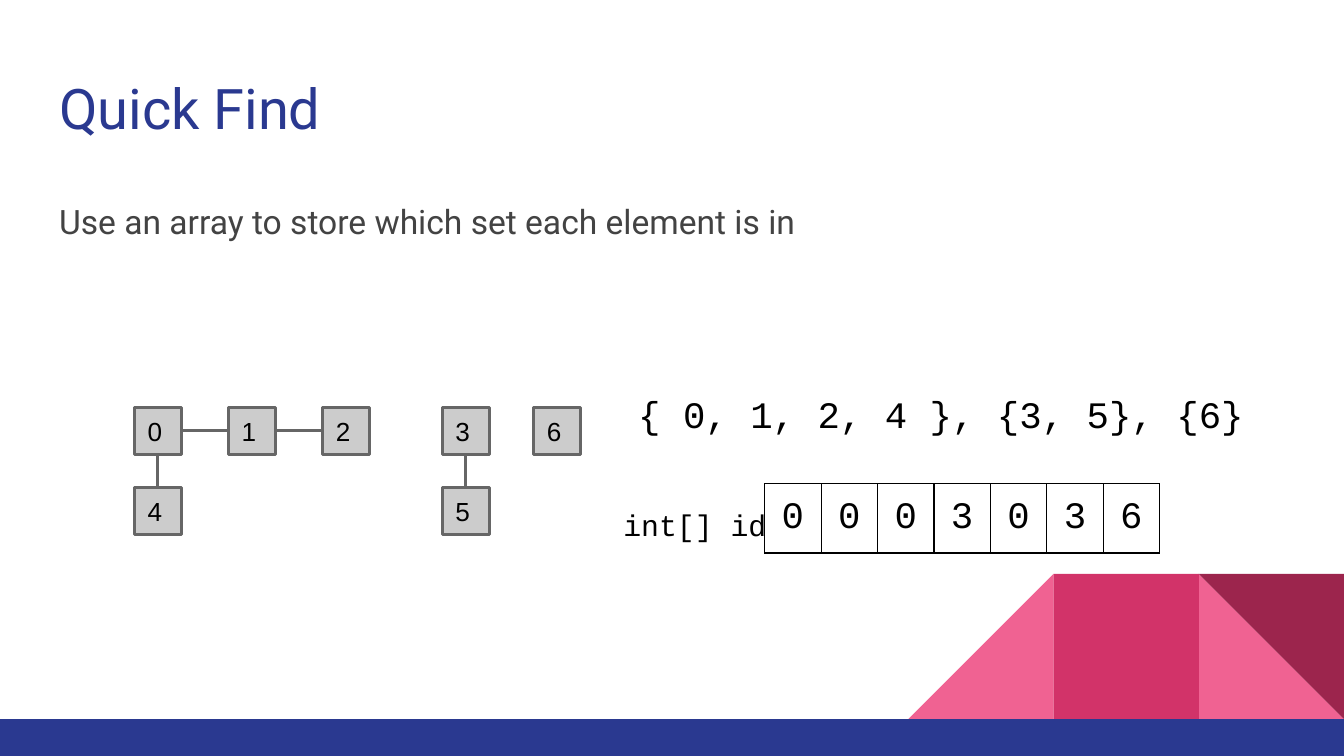
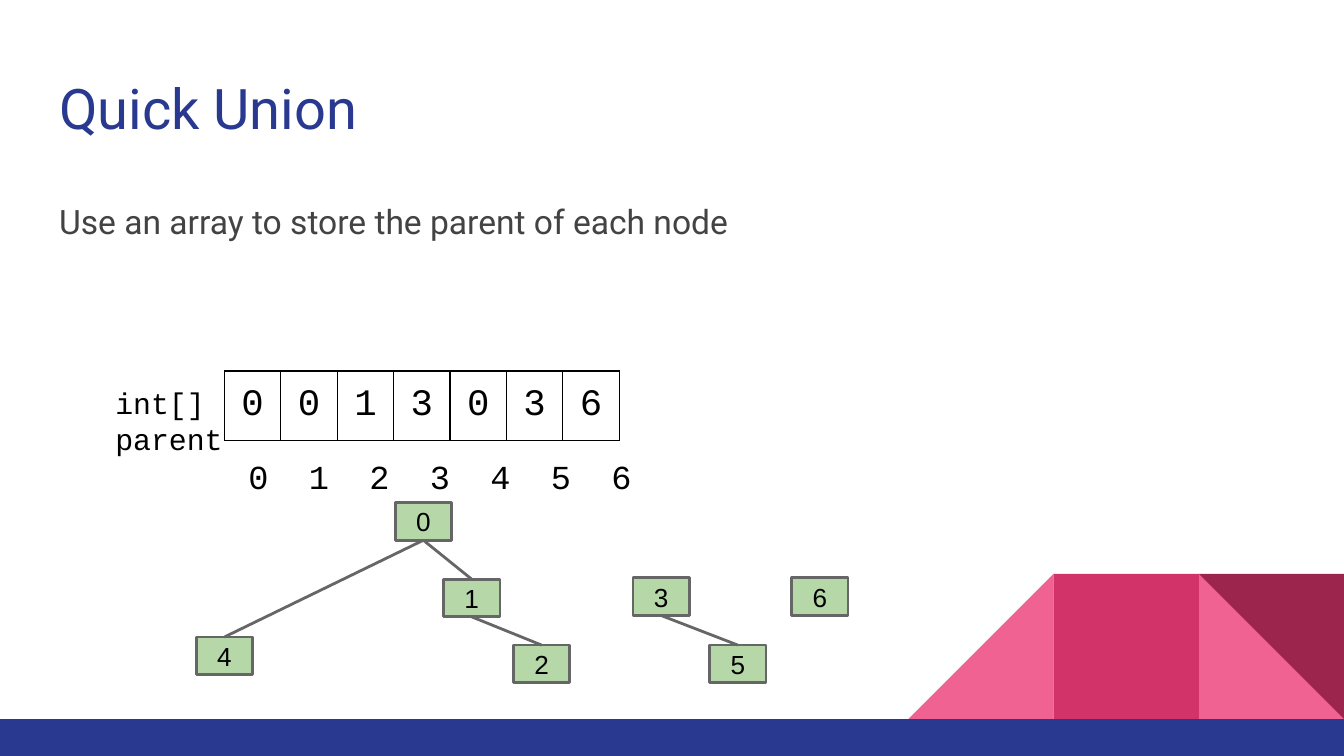
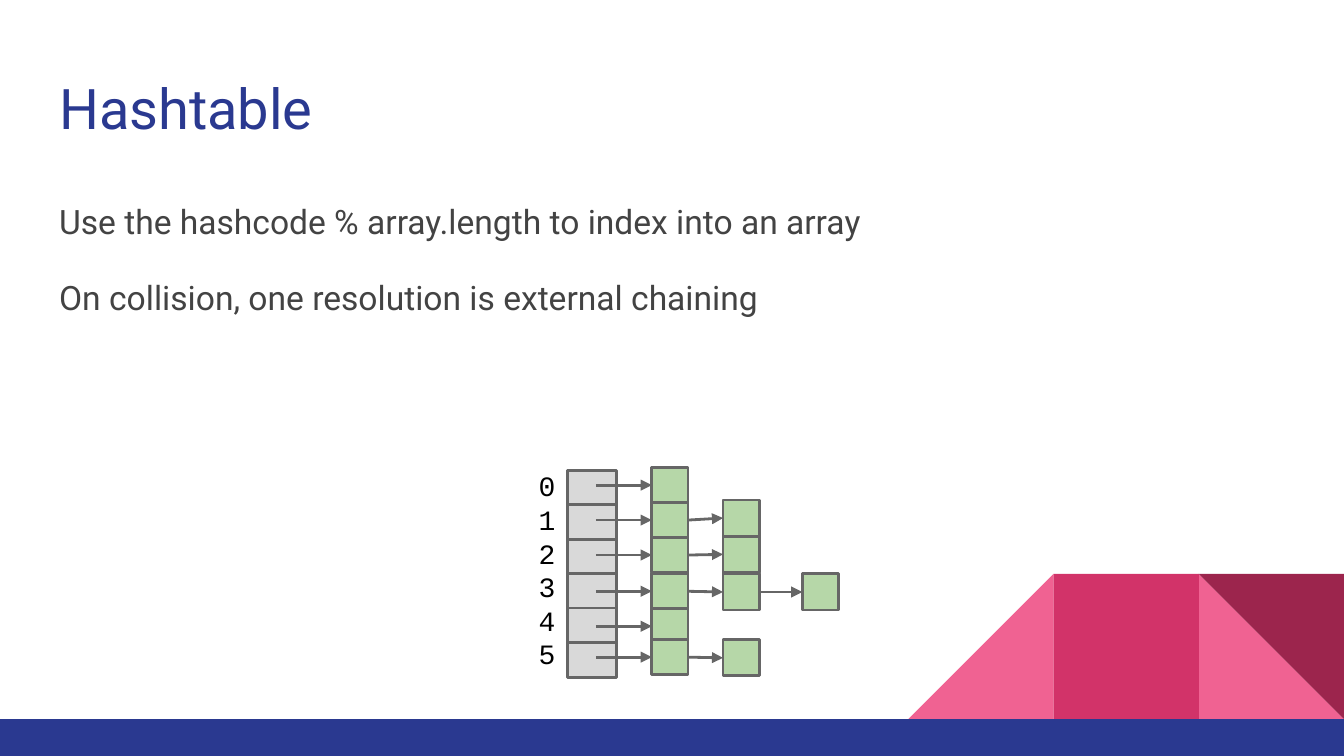
from dataclasses import dataclass
from typing import Optional

import pptx
import pptx.dml.color
import pptx.enum.shapes
import pptx.enum.text
import pptx.oxml
import pptx.oxml.ns
import pptx.util
from lxml import etree

Inches = pptx.util.Inches
Pt = pptx.util.Pt
qn = pptx.oxml.ns.qn
Shape = pptx.enum.shapes.MSO_SHAPE
Align = pptx.enum.text.PP_ALIGN
Anchor = pptx.enum.text.MSO_ANCHOR

# Shared colours, fonts and measures
NAVY, PINK, ROSE, WINE = "2A3990", "F06292", "D23369", "9C254D"
BODY_GREY, LINE_GREY, NODE_GREY, SLOT_GREY = "434343", "666666", "CCCCCC", "D9D9D9"
GREEN, WHITE, BLACK = "B6D7A8", "FFFFFF", "000000"
HEADING_FONT, NODE_FONT, CODE_FONT = "Roboto", "Arial", "Courier New"
LINE_WIDTH = 1.5
TOP, LEFT, BOTTOM, RIGHT = range(4)


@dataclass
class Style:
    font: str
    size: float
    color: str = BLACK


@dataclass
class Node:
    label: str
    left: float
    top: float


@dataclass
class NodeLook:
    width: float
    height: float
    fill: str
    align: Align = Align.LEFT


@dataclass
class Ornament:
    kind: Shape
    left: float
    fill: str
    rotation: float = 0
    flipped: bool = False


TITLE = Style(HEADING_FONT, 30, NAVY)
BODY = Style(HEADING_FONT, 18, BODY_GREY)
NODE = Style(NODE_FONT, 14)
CODE = Style(CODE_FONT, 20)
LABEL = Style(CODE_FONT, 16)

ORNAMENT_SIZE, ORNAMENT_TOP, BAND_TOP = 1.08, 4.27, 5.35
ORNAMENTS = [
    Ornament(Shape.RIGHT_TRIANGLE, 8.92, PINK),
    Ornament(Shape.RIGHT_TRIANGLE, 6.76, PINK, flipped=True),
    Ornament(Shape.RECTANGLE, 7.84, ROSE),
    Ornament(Shape.RIGHT_TRIANGLE, 8.92, WINE, rotation=180),
]


def rgb(color: str):
    return pptx.dml.color.RGBColor.from_string(color)


# Text
def add_span(para, text: str, style: Style) -> None:
    span = para.add_run()
    span.text = text
    span.font.name = style.font
    span.font.size = Pt(style.size)
    span.font.color.rgb = rgb(style.color)


def set_frame(frame, anchor=Anchor.TOP) -> None:
    frame.word_wrap = True
    frame.auto_size = pptx.enum.text.MSO_AUTO_SIZE.NONE
    frame.vertical_anchor = anchor
    frame.margin_left = frame.margin_right = Inches(0.1)
    frame.margin_top = frame.margin_bottom = Inches(0.1)


def fill_frame(frame, lines: list[str], style: Style, align=Align.LEFT) -> None:
    for number, line in enumerate(lines):
        para = frame.add_paragraph() if number else frame.paragraphs[0]
        para.alignment = align
        add_span(para, line, style)


def add_text(page, left: float, top: float, width: float, height: float,
             lines: list[str], style: Style, align=Align.LEFT):
    box = page.shapes.add_textbox(Inches(left), Inches(top), Inches(width), Inches(height))
    set_frame(box.text_frame)
    fill_frame(box.text_frame, lines, style, align)
    return box


# Shapes and connectors
def add_box(shapes, left: float, top: float, width: float, height: float,
            fill: str, kind=Shape.RECTANGLE, outlined: bool = True):
    box = shapes.add_shape(kind, Inches(left), Inches(top), Inches(width), Inches(height))
    box.shadow.inherit = False
    box.fill.solid()
    box.fill.fore_color.rgb = rgb(fill)
    if outlined:
        box.line.color.rgb = rgb(LINE_GREY)
        box.line.width = Pt(LINE_WIDTH)
    else:
        box.line.fill.background()
    return box


def add_node(page, node: Node, look: NodeLook):
    box = add_box(page.shapes, node.left, node.top, look.width, look.height, look.fill)
    set_frame(box.text_frame, Anchor.MIDDLE)
    fill_frame(box.text_frame, [node.label], NODE, look.align)
    return box


def add_link(page, start, start_side: Optional[int], end, end_side: int, arrow: bool = False) -> None:
    """Join two boxes; without a start side the line begins inside the first box."""
    begin_x = start.left + int(start.width * 0.58)
    begin_y = end.top + end.height // 2
    link = page.shapes.add_connector(
        pptx.enum.shapes.MSO_CONNECTOR.STRAIGHT, begin_x, begin_y, end.left, begin_y)
    if start_side is not None:
        link.begin_connect(start, start_side)
    link.end_connect(end, end_side)
    link.line.color.rgb = rgb(LINE_GREY)
    link.line.width = Pt(LINE_WIDTH)
    properties = link.element.spPr
    if arrow:
        etree.SubElement(properties.find(qn("a:ln")), qn("a:tailEnd"), type="triangle")
    etree.SubElement(properties, qn("a:effectLst"))


def add_graph(page, nodes: list[Node], look: NodeLook, links: list[tuple]) -> None:
    boxes = {node.label: add_node(page, node, look) for node in nodes}
    for start, start_side, end, end_side in links:
        add_link(page, boxes[start], start_side, boxes[end], end_side)


# One-row array table
def add_array(page, left: float, top: float, values: str, fill: Optional[str] = None) -> None:
    cell_size = 0.42
    frame = page.shapes.add_table(1, len(values), Inches(left), Inches(top),
                                  Inches(cell_size * len(values)), Inches(cell_size))
    table = frame.table
    table.first_row = table.horz_banding = False
    table.rows[0].height = Inches(cell_size)
    for column, value in enumerate(values):
        table.columns[column].width = Inches(cell_size)
        cell = table.cell(0, column)
        cell.margin_left = cell.margin_right = Inches(0.1)
        cell.margin_top = cell.margin_bottom = Inches(0.1)
        fill_frame(cell.text_frame, [value], CODE, Align.CENTER)
        if fill:
            cell.fill.solid()
            cell.fill.fore_color.rgb = rgb(fill)
        else:
            cell.fill.background()
    for properties in frame.element.iter(qn("a:tcPr")):
        for place, side in enumerate(("lnL", "lnR", "lnT", "lnB")):
            properties.insert(place, pptx.oxml.parse_xml(
                f'<a:{side} {pptx.oxml.ns.nsdecls("a")} w="{Pt(0.75)}"><a:solidFill>'
                f'<a:srgbClr val="{BLACK}"/></a:solidFill></a:{side}>'))


# Layout: placeholder places and the band with its ornaments
def prepare_layout(deck):
    layout = deck.slide_layouts[1]
    for owner in (layout, layout.slide_master):
        for holder in list(owner.placeholders):
            if holder.placeholder_format.idx > 1:
                holder.element.getparent().remove(holder.element)
                continue
            is_title = holder.placeholder_format.idx == 0
            holder.left, holder.width = Inches(0.34), Inches(9.32)
            holder.top = Inches(0.45 if is_title else 1.35)
            holder.height = Inches(0.66 if is_title else 3.65)
    return layout


def add_band(page, deck) -> None:
    group = page.shapes.add_group_shape()
    for ornament in ORNAMENTS:
        box = add_box(group.shapes, ornament.left, ORNAMENT_TOP, ORNAMENT_SIZE, ORNAMENT_SIZE,
                      ornament.fill, ornament.kind, outlined=False)
        box.rotation = ornament.rotation
        if ornament.flipped:
            box.element.spPr.find(qn("a:xfrm")).set("flipH", "1")
    height = deck.slide_height.inches - BAND_TOP
    add_box(group.shapes, 0, BAND_TOP, 10, height, NAVY, outlined=False)
    # The layout carries the group, under its placeholders and with its own ids
    for number, properties in enumerate(group.element.iter(qn("p:cNvPr")), 101):
        properties.set("id", str(number))
    page.slide_layout.shapes.element.insert(2, group.element)


def add_page(deck, layout, title: str, lines: list[str]):
    page = deck.slides.add_slide(layout)
    heading, body = page.shapes.title.text_frame, page.placeholders[1].text_frame
    set_frame(heading)
    fill_frame(heading, [title], TITLE)
    set_frame(body)
    fill_frame(body, lines, BODY)
    for number, para in enumerate(body.paragraphs):
        properties = para._p.get_or_add_pPr()
        properties.set("marL", "0")
        properties.set("indent", "0")
        etree.SubElement(properties, qn("a:buNone"))
        para.line_spacing = 1.15
        para.space_before = Pt(16 if number else 0)
    body.paragraphs[-1].space_after = Pt(16)
    return page


# Slide contents
def fill_quick_find(page) -> None:
    upper, lower = 3.03, 3.63
    nodes = [Node("0", 1, upper), Node("4", 1, lower), Node("1", 1.7, upper),
             Node("2", 2.4, upper), Node("3", 3.29, upper), Node("5", 3.29, lower),
             Node("6", 3.97, upper)]
    links = [("0", BOTTOM, "4", TOP), ("0", RIGHT, "1", LEFT),
             ("1", RIGHT, "2", LEFT), ("3", BOTTOM, "5", TOP)]
    add_graph(page, nodes, NodeLook(0.35, 0.35, NODE_GREY), links)
    add_array(page, 5.69, 3.6, "0003036")
    add_text(page, 4.54, 3.67, 1.42, 0.35, ["int[] id"], LABEL)
    add_text(page, 4.65, 2.81, 4.85, 0.67, ["{ 0, 1, 2, 4 }, {3, 5}, {6}"], CODE)


def fill_quick_union(page) -> None:
    nodes = [Node("2", 3.82, 4.8), Node("1", 3.3, 4.31), Node("4", 1.46, 4.74),
             Node("0", 2.94, 3.74), Node("6", 5.89, 4.3), Node("5", 5.28, 4.8),
             Node("3", 4.71, 4.3)]
    parents = {"4": "0", "1": "0", "2": "1", "5": "3"}
    links = [(child, TOP, parent, BOTTOM) for child, parent in parents.items()]
    add_graph(page, nodes, NodeLook(0.42, 0.28, GREEN, Align.CENTER), links)
    add_array(page, 1.67, 2.76, "0013036", WHITE)
    add_text(page, 0.76, 2.76, 1.42, 0.35, ["int[] parent"], LABEL)

    # Indices under the array, on even tab stops
    indices = add_text(page, 1.75, 3.29, 3.12, 0.3, ["\t".join("0123456")], Style(CODE_FONT, 18))
    properties = indices.text_frame.paragraphs[0]._p.get_or_add_pPr()
    stops = etree.SubElement(properties, qn("a:tabLst"))
    for number in range(1, 7):
        etree.SubElement(stops, qn("a:tab"), pos=str(Inches(0.45 * number)), algn="l")


def fill_hashtable(page) -> None:
    # Tops of the entries chained from each slot
    chains = [(3.48,), (3.74, 3.72), (4, 3.99), (4.27, 4.27, 4.27), (4.53,), (4.76, 4.76)]
    entry_lefts, entry_heights = (4.85, 5.38, 5.97), (0.26, 0.27, 0.27)
    slot_pitch = 1.28 / 5
    slots = [add_box(page.shapes, 4.22, 3.5 + slot_pitch * number, 0.37, 0.26, SLOT_GREY)
             for number in range(len(chains))]
    for slot, tops in zip(slots, chains):
        previous, side = slot, None
        for left, top, height in zip(entry_lefts, tops, entry_heights):
            entry = add_box(page.shapes, left, top, 0.27, height, GREEN)
            add_link(page, previous, side, entry, LEFT, arrow=True)
            previous, side = entry, RIGHT
    add_text(page, 3.91, 3.39, 0.32, 1.63, list("012345"), Style(CODE_FONT, 15), Align.RIGHT)


def main() -> None:
    deck = pptx.Presentation()
    deck.slide_width = Inches(10)
    deck.slide_height = deck.slide_width * 9 // 16
    deck.slide_height = pptx.util.Emu(deck.slide_height)
    layout = prepare_layout(deck)

    page = add_page(deck, layout, "Quick Find",
                    ["Use an array to store which set each element is in"])
    add_band(page, deck)
    fill_quick_find(page)

    page = add_page(deck, layout, "Quick Union",
                    ["Use an array to store the parent of each node"])
    fill_quick_union(page)

    page = add_page(deck, layout, "Hashtable",
                    ["Use the hashcode % array.length to index into an array",
                     "On collision, one resolution is external chaining"])
    fill_hashtable(page)

    deck.save("out.pptx")


if __name__ == "__main__":
    main()
